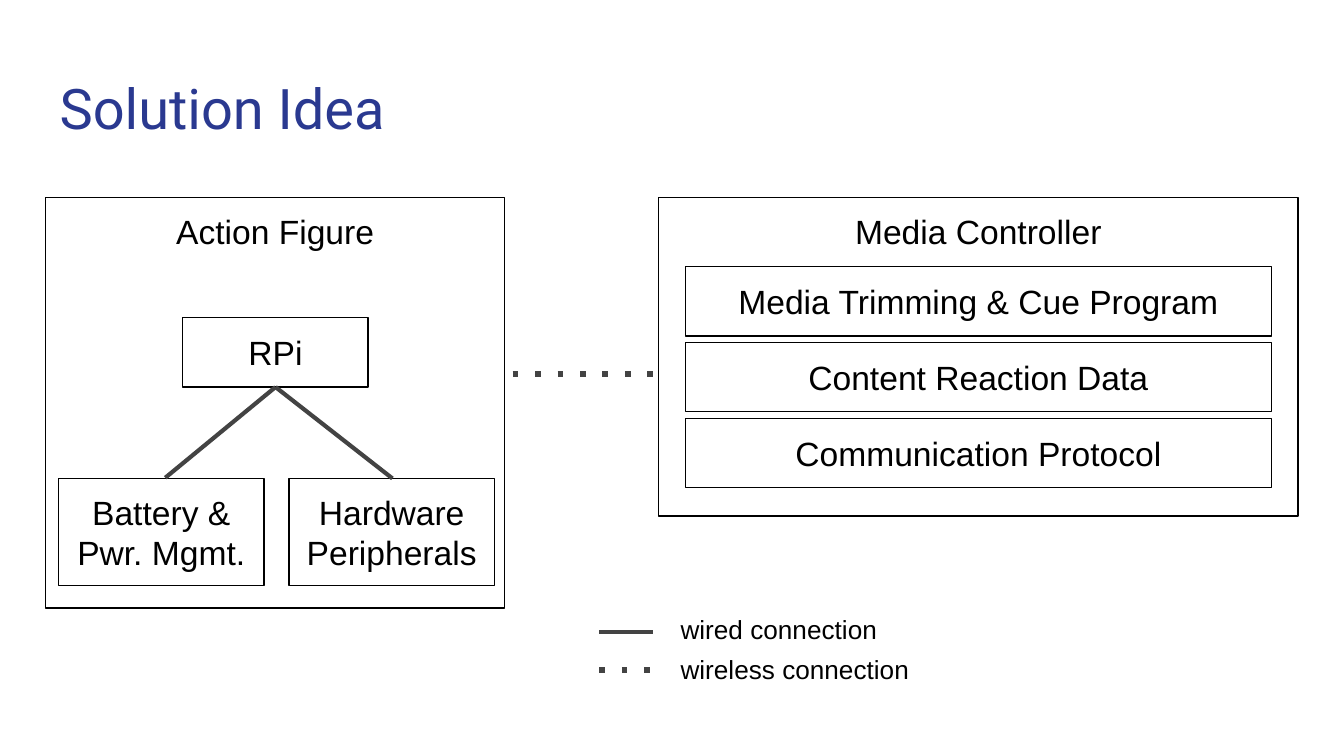
"""Build the Solution Idea slide: two component boxes, their links and a legend."""
from dataclasses import dataclass

import lxml.etree
import pptx
import pptx.dml.color
import pptx.enum.shapes
import pptx.enum.text
import pptx.oxml.ns
import pptx.shapes.shapetree
import pptx.text.text
import pptx.util

EMU_PER_PX = 4572
COLORS = {"title": "2A3990", "text": "000000", "border": "000000", "link": "434343"}
TOP = pptx.enum.text.MSO_ANCHOR.TOP
MIDDLE = pptx.enum.text.MSO_ANCHOR.MIDDLE
LEFT = pptx.enum.text.PP_ALIGN.LEFT
CENTER = pptx.enum.text.PP_ALIGN.CENTER


@dataclass(frozen=True)
class Box:
    text: str
    left: int
    top: int
    width: int
    height: int
    anchor: pptx.enum.text.MSO_ANCHOR = MIDDLE


@dataclass(frozen=True)
class Label:
    text: str
    left: int
    top: int
    width: int
    height: int
    size: int = 14
    font: str = "Arial"
    color: str = "text"


@dataclass(frozen=True)
class Link:
    start: tuple[int, int]
    end: tuple[int, int]
    wireless: bool = False


ROW_TEXTS = ["Media Trimming & Cue Program", "Content Reaction Data", "Communication Protocol"]
ROW_TOP, ROW_PITCH, ROW_HEIGHT = 397, 113, 103

BOXES = [
    Box("Action Figure", 68, 294, 683, 611, TOP),
    Box("RPi", 272, 473, 276, ROW_HEIGHT),
    Box("Battery & Pwr. Mgmt.", 87, 712, 306, 159),
    Box("Hardware Peripherals", 430, 712, 306, 159),
    Box("Media Controller", 980, 294, 952, 474, TOP),
    *(Box(text, 1020, ROW_TOP + index * ROW_PITCH, 872, ROW_HEIGHT)
      for index, text in enumerate(ROW_TEXTS)),
]
LINKS = [
    Link((410, 576), (584, 712)),
    Link((246, 711), (410, 576)),
    Link((763, 557), (988, 557), wireless=True),
]
TITLE = Label("Solution Idea", 69, 90, 1864, 132, 30, "Roboto", "title")
LEGEND_LINKS = [
    Link((892, 940), (972, 940)),
    Link((892, 997), (978, 997), wireless=True),
]
LEGEND_LABELS = [
    Label("wired connection", 993, 893, 362, 78),
    Label("wireless connection", 993, 953, 444, 78),
]


def px(length: int) -> pptx.util.Emu:
    """Turn a length in px into EMU."""
    return pptx.util.Emu(length * EMU_PER_PX)


def rgb(name: str) -> pptx.dml.color.RGBColor:
    """Look up a named colour."""
    return pptx.dml.color.RGBColor.from_string(COLORS[name])


def write_text(frame: pptx.text.text.TextFrame, text: str, size: int, font: str, color: str,
               alignment: pptx.enum.text.PP_ALIGN, anchor: pptx.enum.text.MSO_ANCHOR) -> None:
    """Fill a text frame with one run of styled text."""
    frame.word_wrap = True
    frame.vertical_anchor = anchor
    frame.margin_left = frame.margin_right = px(20)
    frame.margin_top = frame.margin_bottom = px(20)
    paragraph = frame.paragraphs[0]
    paragraph.alignment = alignment
    run = paragraph.add_run()
    run.text = text
    run.font.size = pptx.util.Pt(size)
    run.font.name = font
    run.font.color.rgb = rgb(color)


def draw_box(shapes: pptx.shapes.shapetree.SlideShapes, box: Box) -> None:
    """Draw an outlined rectangle with centred text."""
    shape = shapes.add_shape(pptx.enum.shapes.MSO_SHAPE.RECTANGLE, px(box.left), px(box.top),
                             px(box.width), px(box.height))
    shape.shadow.inherit = False
    shape.fill.background()
    shape.line.color.rgb = rgb("border")
    shape.line.width = pptx.util.Pt(0.75)
    write_text(shape.text_frame, box.text, 18, "Arial", "text", CENTER, box.anchor)


def draw_label(shapes: pptx.shapes.shapetree.SlideShapes, label: Label) -> None:
    """Draw a left-aligned text box."""
    shape = shapes.add_textbox(px(label.left), px(label.top), px(label.width), px(label.height))
    write_text(shape.text_frame, label.text, label.size, label.font, label.color, LEFT, TOP)


def draw_link(shapes: pptx.shapes.shapetree.SlideShapes, link: Link) -> None:
    """Draw a solid wired link or a dotted wireless one."""
    connector = shapes.add_connector(pptx.enum.shapes.MSO_CONNECTOR.STRAIGHT,
                                     *map(px, link.start + link.end))
    connector.line.color.rgb = rgb("link")
    connector.line.width = pptx.util.Pt(3 if link.wireless else 2.25)
    properties = connector.element.spPr
    if link.wireless:
        outline = properties.find(pptx.oxml.ns.qn("a:ln"))
        lxml.etree.SubElement(outline, pptx.oxml.ns.qn("a:prstDash"), val="dot")
    lxml.etree.SubElement(properties, pptx.oxml.ns.qn("a:effectLst"))


def main() -> None:
    """Assemble and save the slide."""
    presentation = pptx.Presentation()
    presentation.slide_width = px(2000)
    presentation.slide_height = px(1125)
    slide = presentation.slides.add_slide(presentation.slide_layouts[6])
    draw_label(slide.shapes, TITLE)
    for box in BOXES:
        draw_box(slide.shapes, box)
    for link in LINKS:
        draw_link(slide.shapes, link)
    legend = slide.shapes.add_group_shape()
    for link in LEGEND_LINKS:
        draw_link(legend.shapes, link)
    for label in LEGEND_LABELS:
        draw_label(legend.shapes, label)
    presentation.save("out.pptx")


if __name__ == "__main__":
    main()
